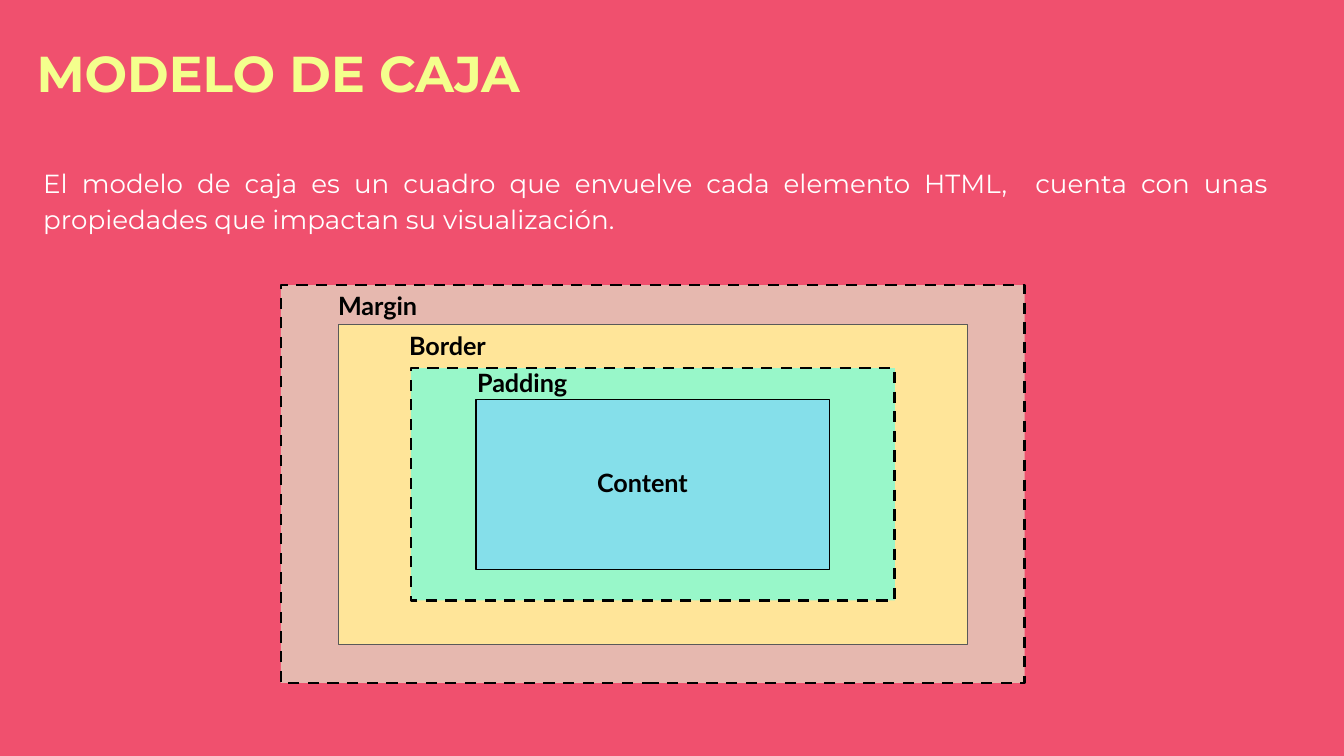
from dataclasses import dataclass

from pptx import Presentation
from pptx.dml.color import RGBColor
from pptx.enum.dml import MSO_LINE
from pptx.enum.shapes import MSO_SHAPE
from pptx.enum.text import MSO_ANCHOR, PP_ALIGN
from pptx.util import Pt

RECTANGLE = MSO_SHAPE.RECTANGLE
DASH = MSO_LINE.DASH
TOP, MIDDLE, BOTTOM = MSO_ANCHOR.TOP, MSO_ANCHOR.MIDDLE, MSO_ANCHOR.BOTTOM
LEFT, JUSTIFY = PP_ALIGN.LEFT, PP_ALIGN.JUSTIFY
BLANK_LAYOUT = 6


@dataclass(frozen=True)
class Theme:
    background: str = "F0506E"
    title: str = "F4FF8D"
    body: str = "FFFFFF"
    ink: str = "000000"
    soft_line: str = "595959"
    margin: str = "E6B8AF"
    border: str = "FFE599"
    padding: str = "98F7C9"
    content: str = "85DFEA"
    heading_font: str = "Montserrat"
    label_font: str = "Lato"
    title_size: float = 27
    body_size: float = 14
    label_size: float = 13.5
    thin: float = 0.75
    thick: float = 1.5


THEME = Theme()

# Left, top, width, height, fill, line colour, dashed; outermost first
LAYERS = [
    (150.5, 152.7, 398.4, 213.2, THEME.margin, THEME.ink, True),
    (181.3, 174, 337, 171.3, THEME.border, THEME.soft_line, False),
    (220.2, 197.2, 259.2, 124.5, THEME.padding, THEME.ink, True),
    (255.1, 214, 189.3, 91.2, THEME.content, THEME.ink, False),
]

LABEL_SIZE = (70, 31)
LABELS = [
    ("Margin", 175.9, 149),
    ("Border", 214, 170.8),
    ("Padding", 250.4, 190.6),
    ("Content", 314.7, 244.1),
]


def add_text(slide, text, box, *, font, size, color, bold=False,
             align=LEFT, anchor=TOP, spacing=1.0):
    text_box = slide.shapes.add_textbox(*map(Pt, box))
    frame = text_box.text_frame
    frame.word_wrap = True
    frame.vertical_anchor = anchor
    frame.margin_left = frame.margin_right = Pt(5.2)
    frame.margin_top = frame.margin_bottom = Pt(2.7)
    paragraph = frame.paragraphs[0]
    paragraph.alignment = align
    paragraph.line_spacing = spacing
    run = paragraph.add_run()
    run.text = text
    run.font.name = font
    run.font.size = Pt(size)
    run.font.bold = bold
    run.font.color.rgb = RGBColor.from_string(color)


def add_layer(slide, left, top, width, height, fill, line, dashed):
    """Add one nested rectangle of the box model."""
    layer = slide.shapes.add_shape(
        RECTANGLE, Pt(left), Pt(top), Pt(width), Pt(height))
    layer.shadow.inherit = False
    layer.fill.solid()
    layer.fill.fore_color.rgb = RGBColor.from_string(fill)
    layer.line.color.rgb = RGBColor.from_string(line)
    layer.line.width = Pt(THEME.thick if dashed else THEME.thin)
    if dashed:
        layer.line.dash_style = DASH


def main():
    deck = Presentation()
    deck.slide_width, deck.slide_height = Pt(720), Pt(405)
    slide = deck.slides.add_slide(deck.slide_layouts[BLANK_LAYOUT])
    background = slide.background.fill
    background.solid()
    background.fore_color.rgb = RGBColor.from_string(THEME.background)

    add_text(slide, "MODELO DE CAJA", (14.4, 9.4, 671, 48.2),
             font=THEME.heading_font, size=THEME.title_size,
             color=THEME.title, bold=True, anchor=BOTTOM)
    add_text(slide,
             "El modelo de caja es un cuadro que envuelve cada elemento HTML,  "
             "cuenta con unas propiedades que impactan su visualización.",
             (18, 84.3, 667, 48), font=THEME.heading_font,
             size=THEME.body_size, color=THEME.body, align=JUSTIFY,
             spacing=1.15)

    for layer in LAYERS:
        add_layer(slide, *layer)
    for name, left, top in LABELS:
        add_text(slide, name, (left, top, *LABEL_SIZE),
                 font=THEME.label_font, size=THEME.label_size,
                 color=THEME.ink, bold=True, anchor=MIDDLE, spacing=0.9)

    deck.save("out.pptx")


if __name__ == "__main__":
    main()
